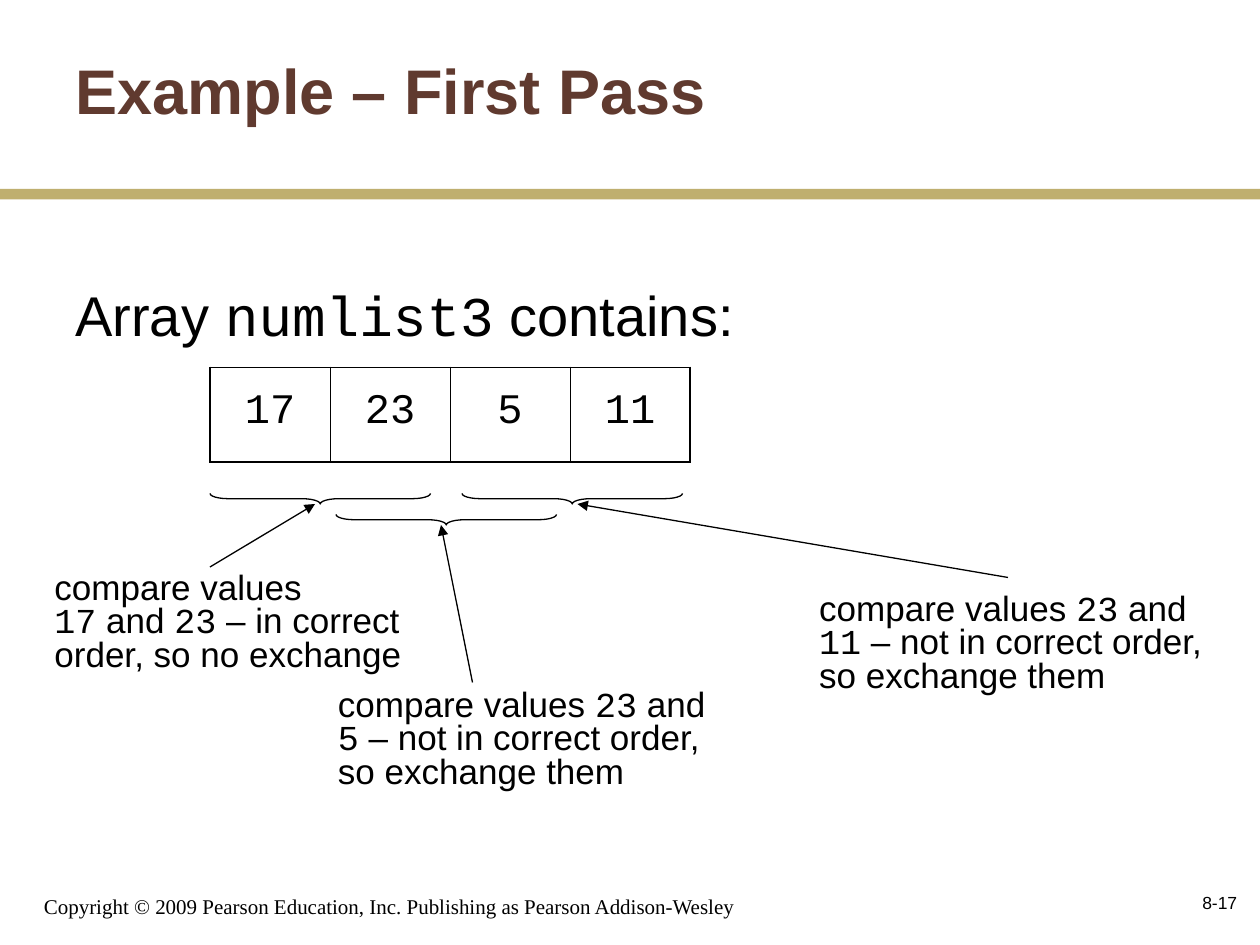
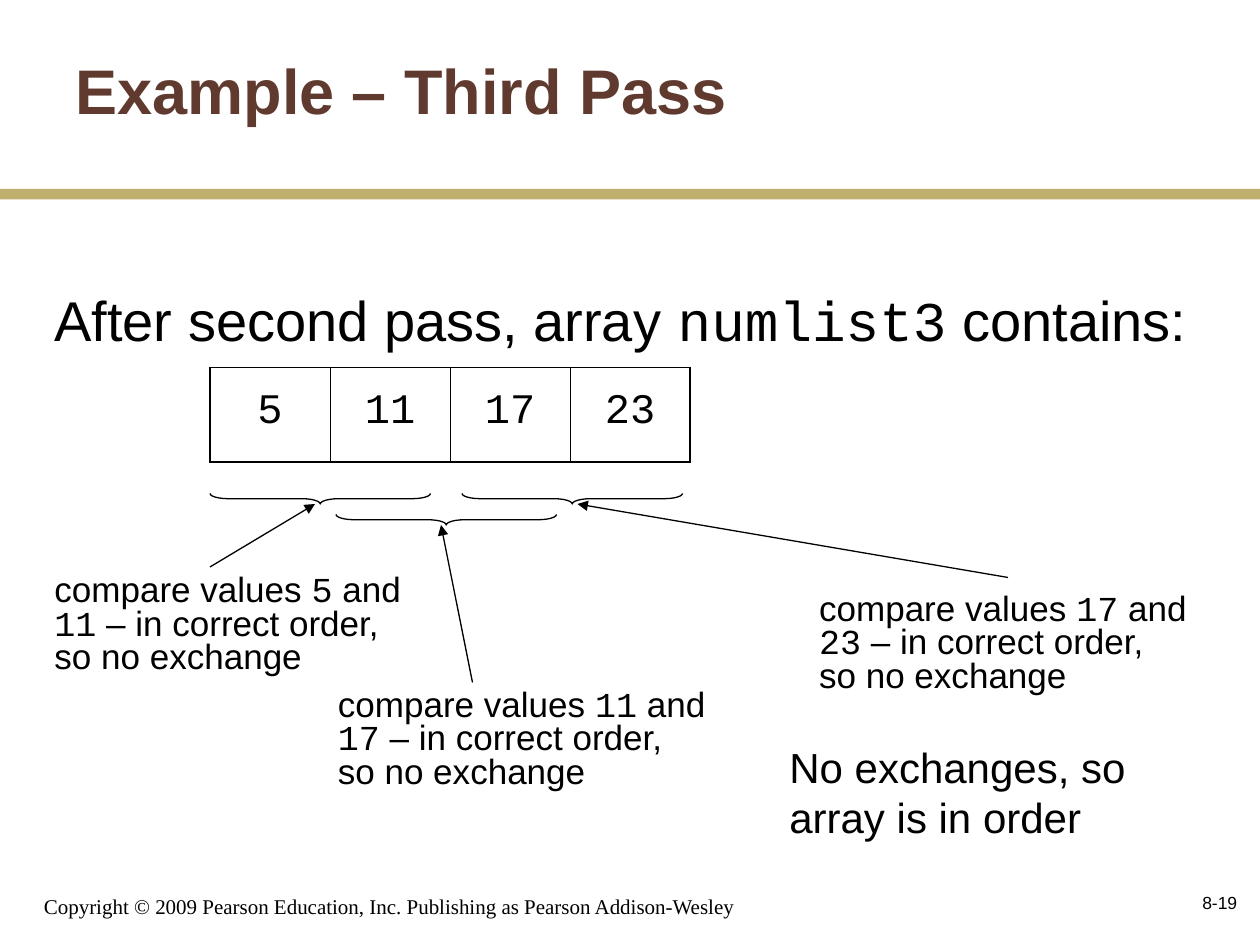
from collections import namedtuple
from dataclasses import dataclass

from lxml.etree import SubElement
from pptx import Presentation
from pptx.dml.color import RGBColor
from pptx.enum.shapes import MSO_CONNECTOR, MSO_SHAPE
from pptx.enum.text import MSO_ANCHOR, PP_ALIGN
from pptx.oxml.ns import qn
from pptx.util import Pt

Box = namedtuple("Box", "left top width height")


@dataclass(frozen=True)
class Theme:
    title_color: RGBColor = RGBColor(0x60, 0x3A, 0x2F)
    band_color: RGBColor = RGBColor(0xBF, 0xAF, 0x6F)
    ink: RGBColor = RGBColor(0, 0, 0)
    sans: str = "Arial"
    mono: str = "Courier New"
    serif: str = "Times New Roman"
    title_size: float = 36
    lead_size: float = 32
    value_size: float = 24
    callout_size: float = 20
    footer_size: float = 12
    number_size: float = 10
    line_width: float = 0.75
    frame_width: float = 1.08
    divider_width: float = 0.45


THEME = Theme()
PAGE = Box(0, 0, 720, 540)
TITLE = Box(36, 6, 600, 90)
BAND = Box(0, 108, 720, 6)
FOOTER = Box(18, 498, 438, 30.5)
PAGE_NUMBER = Box(564, 498, 150, 36)
DIAGRAM = Box(120, 210, 274.32, 54)
COPYRIGHT = "Copyright © 2009 Pearson Education, Inc. Publishing as Pearson Addison-Wesley"

# Arrow start and tip for each compared pair, relative to the diagram
ARROWS = [((0, 114), (60, 78)), ((150, 180), (132, 90)), ((456, 120), (210, 78))]

SLIDES = [
    dict(
        title="Example – First Pass", number="8-17",
        lead="Array `numlist3` contains:", lead_box=Box(36, 156.5, 654, 291),
        values=["17", "23", "5", "11"],
        callouts=[
            (Box(-96, 114, 214, 65),
             ["compare values", "`17` and `23` – in correct", "order, so no exchange"]),
            (Box(66, 181, 228, 65),
             ["compare values `23` and", "`5` – not in correct order,", "so exchange them"]),
            (Box(341, 126, 234, 65),
             ["compare values `23` and", "`11` – not in correct order,", "so exchange them"]),
        ],
        conclusion=[],
    ),
    dict(
        title="Example – Third Pass", number="8-19",
        lead="After second pass, array `numlist3` contains:",
        lead_box=Box(24, 159.5, 666, 321),
        values=["5", "11", "17", "23"],
        callouts=[
            (Box(-96, 115.5, 218, 65),
             ["compare values `5` and", "`11` – in correct order,", "so no exchange"]),
            (Box(66, 181, 225, 65),
             ["compare values `11` and", "`17` – in correct order,", "so no exchange"]),
            (Box(341, 126, 225, 65),
             ["compare values `17` and", "`23` – in correct order,", "so no exchange"]),
        ],
        conclusion=["No exchanges, so", "array is in order"],
    ),
]


def points(box):
    return [Pt(length) for length in box]


def style(font, size, name=THEME.sans, color=THEME.ink, bold=False):
    font.size, font.name, font.bold = Pt(size), name, bold
    font.color.rgb = color


def add_text(page, box, lines, size, name=THEME.sans, align=PP_ALIGN.LEFT,
             anchor=MSO_ANCHOR.TOP, spacing=1.0):
    """Add one paragraph per line; words between backticks are monospaced."""
    frame = page.shapes.add_textbox(*points(box)).text_frame
    frame.word_wrap = True
    frame.vertical_anchor = anchor
    for index, line in enumerate(lines):
        para = frame.add_paragraph() if index else frame.paragraphs[0]
        para.alignment, para.line_spacing = align, spacing
        for part, words in enumerate(line.split("`")):
            if words:
                span = para.add_run()
                span.text = words
                style(span.font, size, THEME.mono if part % 2 else name)


def add_frame(page, title, number):
    # Title
    heading = page.shapes.title
    heading.left, heading.top, heading.width, heading.height = points(TITLE)
    heading.text_frame.text = title
    heading.text_frame.vertical_anchor = MSO_ANCHOR.MIDDLE
    para = heading.text_frame.paragraphs[0]
    para.alignment = PP_ALIGN.LEFT
    style(para.runs[0].font, THEME.title_size, color=THEME.title_color, bold=True)

    # Band under the title
    band = page.shapes.add_shape(MSO_SHAPE.RECTANGLE, *points(BAND))
    band.shadow.inherit = False
    band.fill.solid()
    band.fill.fore_color.rgb = THEME.band_color
    band.line.fill.background()

    # Footer
    add_text(page, FOOTER, [COPYRIGHT], THEME.footer_size, THEME.serif,
             anchor=MSO_ANCHOR.BOTTOM)
    add_text(page, PAGE_NUMBER, [number], THEME.number_size,
             align=PP_ALIGN.RIGHT, anchor=MSO_ANCHOR.MIDDLE)


def set_borders(cell, widths):
    properties = cell._tc.get_or_add_tcPr()
    for index, (side, width) in enumerate(widths.items()):
        border = properties.makeelement(qn(f"a:ln{side}"), {"w": str(Pt(width))})
        fill = SubElement(border, qn("a:solidFill"))
        SubElement(fill, qn("a:srgbClr"), val=str(THEME.ink))
        properties.insert(index, border)


def add_array(page, box, values):
    table = page.shapes.add_table(1, len(values), *points(box)).table
    table.first_row = table.horz_banding = False
    last = len(values) - 1
    for index, value in enumerate(values):
        table.columns[index].width = Pt(box.width / len(values))
        cell = table.cell(0, index)
        cell.fill.background()
        set_borders(cell, {
            "L": THEME.divider_width if index else THEME.frame_width,
            "R": THEME.divider_width if index < last else THEME.frame_width,
            "T": THEME.frame_width,
            "B": THEME.frame_width,
        })
        cell.text_frame.text = value
        para = cell.text_frame.paragraphs[0]
        para.alignment, para.line_spacing = PP_ALIGN.CENTER, 1.3
        style(para.runs[0].font, THEME.value_size, THEME.mono)


def add_brace(page, center_x, center_y, span=126, depth=6):
    brace = page.shapes.add_shape(
        MSO_SHAPE.RIGHT_BRACE, Pt(center_x - depth / 2), Pt(center_y - span / 2),
        Pt(depth), Pt(span))
    brace.rotation = 90
    brace.adjustments[0] = 1.75
    brace.shadow.inherit = False
    brace.fill.background()
    brace.line.color.rgb = THEME.ink
    brace.line.width = Pt(THEME.line_width)


def add_arrow(page, box, start, tip):
    ends = [Pt(box[axis] + end[axis]) for end in (start, tip) for axis in (0, 1)]
    arrow = page.shapes.add_connector(MSO_CONNECTOR.STRAIGHT, *ends)
    arrow.line.color.rgb = THEME.ink
    arrow.line.width = Pt(THEME.line_width)
    SubElement(arrow.line._get_or_add_ln(), qn("a:tailEnd"), type="triangle")
    SubElement(arrow._element.spPr, qn("a:effectLst"))


def add_comparisons(page, box, callouts):
    for index, ((offset, lines), (start, tip)) in enumerate(zip(callouts, ARROWS)):
        # Neighbouring braces overlap, so every second one sits lower
        add_brace(page, box.left + 63 + 72 * index, box.top + 75 + 12 * (index % 2))
        add_arrow(page, box, start, tip)
        place = Box(box.left + offset.left, box.top + offset.top,
                    offset.width, offset.height)
        add_text(page, place, lines, THEME.callout_size, spacing=0.8)


def add_pass_slide(deck, title, number, lead, lead_box, values, callouts, conclusion):
    page = deck.slides.add_slide(deck.slide_layouts.get_by_name("Title Only"))
    add_frame(page, title, number)
    add_text(page, lead_box, [lead], THEME.lead_size)
    add_array(page, DIAGRAM, values)
    add_comparisons(page, DIAGRAM, callouts)
    if conclusion:
        add_text(page, Box(444, 420, 213, 65), conclusion, THEME.value_size)


def main():
    deck = Presentation()
    deck.slide_width, deck.slide_height = Pt(PAGE.width), Pt(PAGE.height)
    for content in SLIDES:
        add_pass_slide(deck, **content)
    deck.save("out.pptx")


if __name__ == "__main__":
    main()
